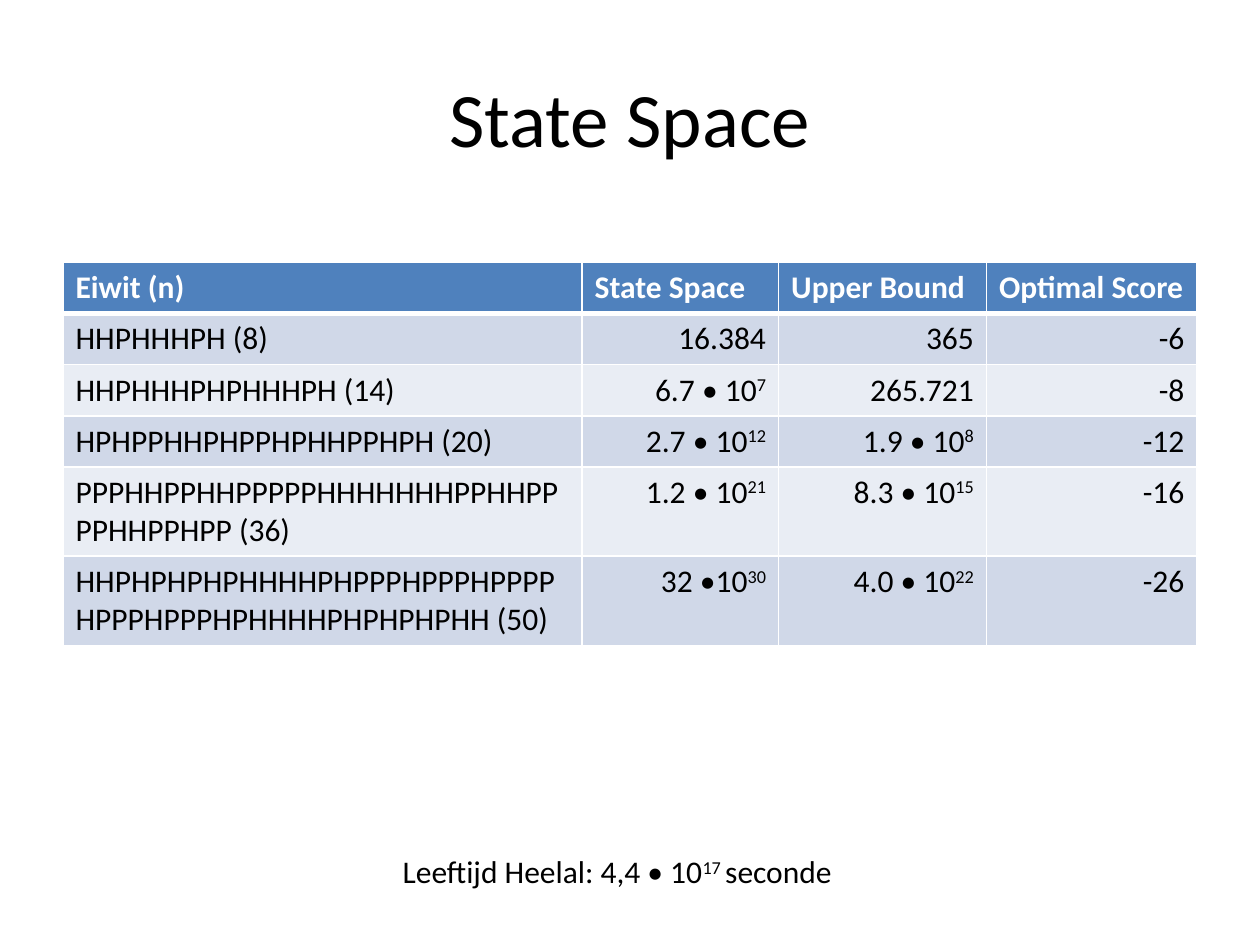
from pptx import Presentation
from pptx.dml.color import RGBColor
from pptx.enum.text import MSO_ANCHOR, PP_ALIGN
from pptx.oxml import parse_xml
from pptx.oxml.ns import nsdecls
from pptx.util import Pt

HEADER = ["Eiwit (n)", "State Space", "Upper Bound", "Optimal Score"]
ROWS = [
    ["HHPHHHPH (8)", "16.384", "365", "-6"],
    ["HHPHHHPHPHHHPH (14)", "6.7 • 10^7", "265.721", "-8"],
    ["HPHPPHHPHPPHPHHPPHPH (20)", "2.7 • 10^12", "1.9 • 10^8", "-12"],
    ["PPPHHPPHHPPPPPHHHHHHHPPHHPPPPHHPPHPP (36)", "1.2 • 10^21", "8.3 • 10^15", "-16"],
    ["HHPHPHPHPHHHHPHPPPHPPPHPPPPHPPPHPPPHPHHHHPHPHPHPHH (50)",
     "32 •10^30", "4.0 • 10^22", "-26"],
]
COL_WIDTHS = [296.64, 112.32, 118.8, 120.24]
ROW_HEIGHTS = [29.2] * 4 + [51] * 2


def rgb(color):
    """Turn a hex string into a colour."""
    return RGBColor.from_string(color)


def write(tf, text, size=18, color="000000", bold=False, align=PP_ALIGN.LEFT):
    """Write one paragraph; text between carets is superscript."""
    p = tf.paragraphs[0]
    p.alignment = align
    for i, part in enumerate(text.split("^")):
        r = p.add_run()
        r.text = part
        r.font.name = "Calibri"
        r.font.size = Pt(size)
        r.font.bold = bold
        r.font.color.rgb = rgb(color)
        if i % 2:
            r.font._element.set("baseline", "30000")


def add_text(s, box, text, wrap=True, anchor=MSO_ANCHOR.TOP, **fmt):
    """Place a text box."""
    tf = s.shapes.add_textbox(*map(Pt, box)).text_frame
    tf.word_wrap = wrap
    tf.vertical_anchor = anchor
    write(tf, text, **fmt)


def set_borders(cell, bottom=1, top=1):
    """Draw white lines around a cell."""
    pr = cell._tc.get_or_add_tcPr()
    widths = {"lnL": 1, "lnR": 1, "lnT": top, "lnB": bottom}
    for i, (tag, width) in enumerate(widths.items()):
        pr.insert(i, parse_xml(
            f'<a:{tag} {nsdecls("a")} w="{Pt(width)}"><a:solidFill>'
            f'<a:srgbClr val="FFFFFF"/></a:solidFill></a:{tag}>'))


def add_state_table(s, left, top):
    """Place the table of proteins with its header and banded rows."""
    rows = [HEADER] + ROWS
    table = s.shapes.add_table(len(rows), len(HEADER), Pt(left), Pt(top),
                               Pt(sum(COL_WIDTHS)), Pt(sum(ROW_HEIGHTS))).table
    for column, width in zip(table.columns, COL_WIDTHS):
        column.width = Pt(width)
    for i, (row, height) in enumerate(zip(rows, ROW_HEIGHTS)):
        table.rows[i].height = Pt(height)
        head = i == 0
        fill = "4F81BD" if head else "D0D8E8" if i % 2 else "E9EDF4"
        for j, text in enumerate(row):
            cell = table.cell(i, j)
            cell.fill.solid()
            cell.fill.fore_color.rgb = rgb(fill)
            write(cell.text_frame, text, bold=head,
                  color="FFFFFF" if head else "000000",
                  align=PP_ALIGN.LEFT if head or j == 0 else PP_ALIGN.RIGHT)
            set_borders(cell, bottom=3 if head else 1, top=3 if i == 1 else 1)


def main():
    """Build the slide."""
    prs = Presentation()
    prs.slide_width, prs.slide_height = Pt(720), Pt(540)
    s = prs.slides.add_slide(prs.slide_layouts[6])
    add_text(s, (36, 21.6, 648, 90), "State Space", size=44,
             anchor=MSO_ANCHOR.MIDDLE, align=PP_ALIGN.CENTER)
    add_state_table(s, 36, 150)
    add_text(s, (223, 483.3, 275, 29), "Leeftijd Heelal: 4,4 • 10^17 ^seconde", wrap=False)
    prs.save("out.pptx")


if __name__ == "__main__":
    main()
